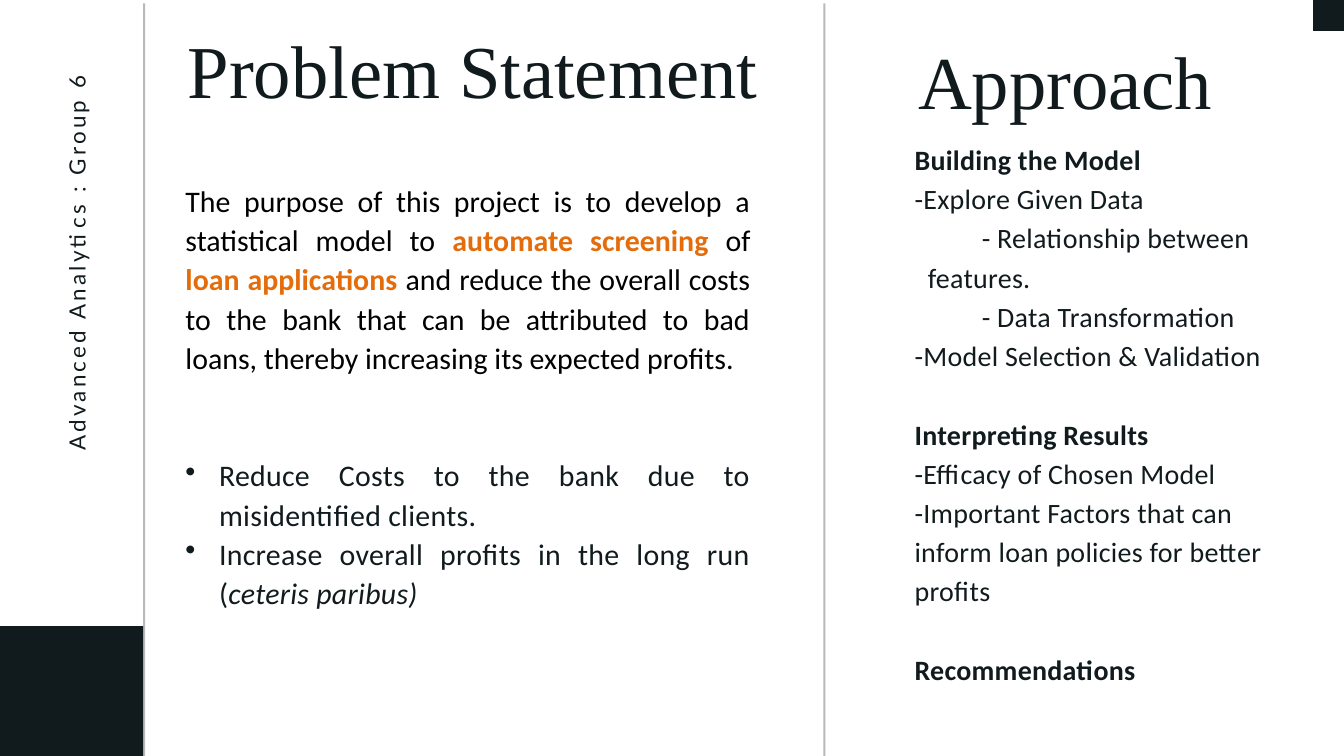
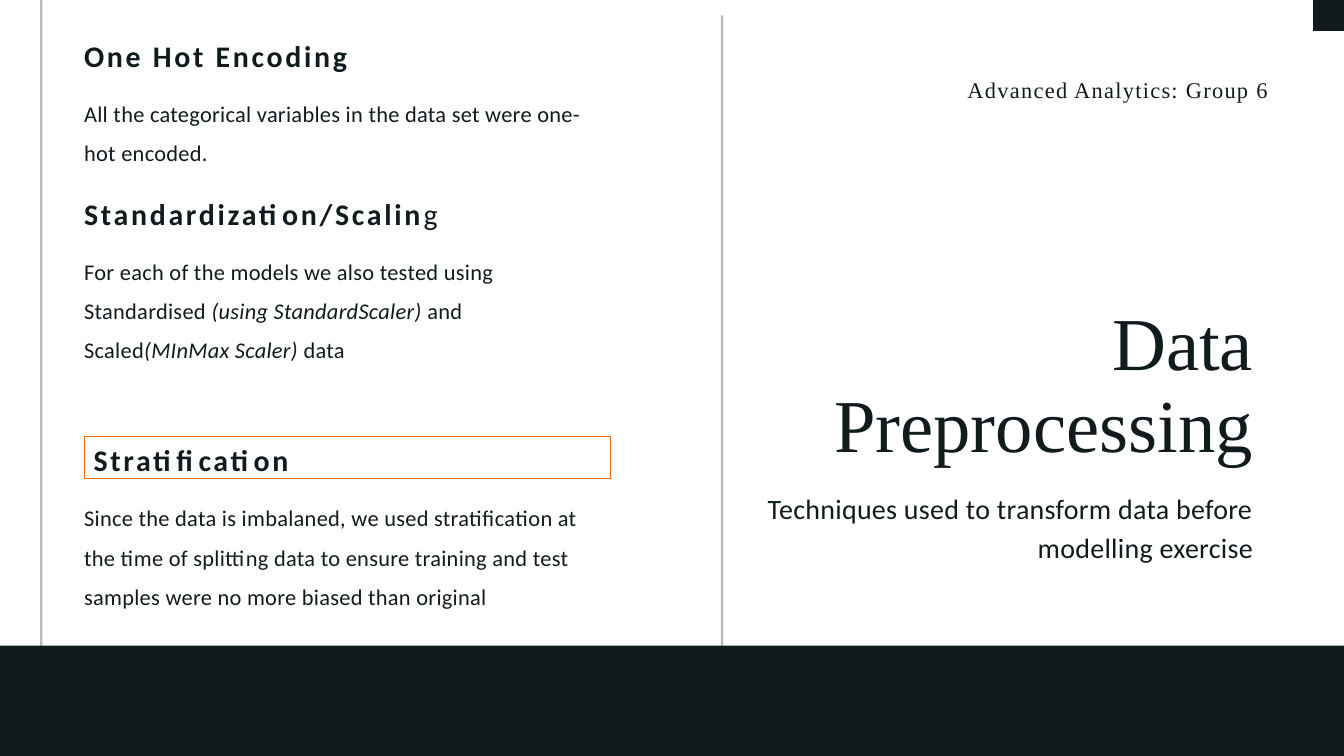
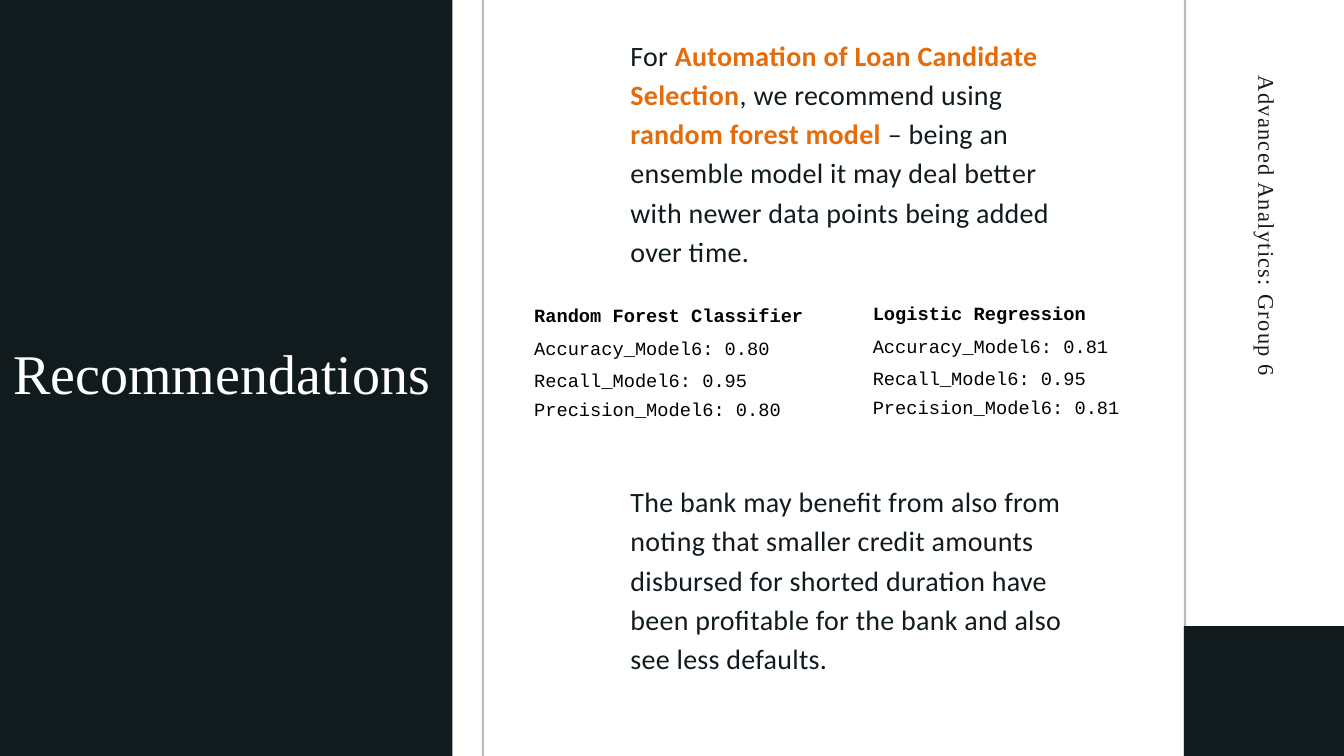
from lxml.etree import SubElement
from pptx import Presentation
from pptx.dml.color import RGBColor
from pptx.enum.shapes import MSO_SHAPE
from pptx.enum.text import MSO_ANCHOR, MSO_AUTO_SIZE, PP_ALIGN
from pptx.oxml.ns import qn
from pptx.util import Cm, Pt

INK, ORANGE, BLACK, WHITE = "111B1E", "E46C0A", "000000", "FFFFFF"
SERIF = "Times New Roman"

# Text formats: sizes, line and char spacing in points, lengths in cm
BASE = dict(font="Calibri", size=30, color=INK, bold=False, italic=False,
            spc=0.3, line=42, align="l", gap=0, left=0, first=0,
            bullet=None, turn=0, inset=0, edge=None)
TITLE = dict(font=SERIF, size=80, spc=0, line=88)
FOOTER = dict(font=SERIF, size=24, spc=1.4, line=33.6)
HEAD = dict(size=32, bold=True, spc=2.9, line=44.8)
CODE = dict(font="Courier New", size=20, color=BLACK, spc=0, line=35)
BOLD, ITALIC = dict(bold=True), dict(italic=True)
ACCENT = dict(color=ORANGE, bold=True)
ALIGN = {"l": PP_ALIGN.LEFT, "r": PP_ALIGN.RIGHT, "j": PP_ALIGN.JUSTIFY}


def para(*runs, **form):
    """A paragraph: runs are strings or (string, format) pairs."""
    return runs, form


BLACKTEXT = dict(color=BLACK, spc=0)
POINT = dict(left=1.27, first=-1.27, bullet="•")
SUB = dict(left=0.5, first=2.04)

PURPOSE = [
    para("The purpose of this project is to develop a statistical model to ",
         ("automate screening ", ACCENT), "of ", ("loan applications ", ACCENT),
         "and reduce the overall costs to the bank that can be attributed to "
         "bad loans, thereby increasing its expected profits.", **BLACKTEXT),
    para("Reduce Costs to the bank due to misidentified clients.",
         gap=84, **POINT),
    para("Increase overall profits in the long run (",
         ("ceteris paribus)", ITALIC), **POINT),
]
STEPS = [
    para("Building the Model", **BOLD),
    para("-Explore Given Data"),
    para("- Relationship between features.", **SUB),
    para("- Data Transformation", **SUB),
    para("-Model Selection & Validation"),
    para("Interpreting Results", gap=42, **BOLD),
    para("-Efficacy of Chosen Model"),
    para("-Important Factors that can inform loan policies for better profits"),
    para("Recommendations", gap=42, **BOLD),
]
# Top, body height, heading, heading format, body
SECTIONS = [
    (1.19, 3, para("One Hot Encoding"), {},
     para("All the categorical variables in the data set were one-hot "
          "encoded.")),
    (7.16, 4.5, para("Standardization/Scalin", ("g", dict(bold=False))), {},
     para("For each of the models we also tested using Standardised ",
          ("(using StandardScaler) ", ITALIC), "and Scaled",
          ("(MInMax Scaler) ", ITALIC), "data")),
    (16.48, 6, para("Stratification"), dict(edge=ORANGE, inset=0.36),
     para("Since the data is imbalaned, we used stratification at the time of "
          "splitting data to ensure training and test samples were no more "
          "biased than original")),
]
ADVICE = [
    (1.24, 11.96, para(
        "For ", ("Automation of Loan Candidate Selection", ACCENT),
        ", we recommend using ", ("random forest model ", ACCENT),
        "– being an ensemble model it may deal better with newer data points "
        "being added over time.")),
    (18.11, 7.39, para(
        "The bank may benefit from also from noting that smaller credit "
        "amounts disbursed for shorted duration have been profitable for the "
        "bank and also see less defaults.")),
]
# Left, top, model, scores
MODELS = [
    (20.19, 11.1, "Random Forest Classifier",
     {"Accuracy": "0.80", "Recall": "0.95", "Precision": "0.80"}),
    (32.99, 11.02, "Logistic Regression",
     {"Accuracy": "0.81", "Recall": "0.95", "Precision": "0.81"}),
]


def rgb(code):
    return RGBColor.from_string(code)


def block(slide, *at, alpha=None):
    """Solid dark rectangle, see-through when alpha (percent) is given."""
    box = slide.shapes.add_shape(MSO_SHAPE.RECTANGLE, *map(Cm, at))
    box.shadow.inherit = False
    box.fill.solid()
    box.fill.fore_color.rgb = rgb(INK)
    box.line.fill.background()
    if alpha:
        tint = box.fill._xPr.find(".//" + qn("a:srgbClr"))
        SubElement(tint, qn("a:alpha")).set("val", str(alpha * 1000))


def rule(slide, left, top):
    block(slide, left, top, 0.08, 32.26, alpha=30)


def corner(slide):
    block(slide, 49.63, 0, 1.17, 1.17)


def fill(par, runs, form):
    props = par._p.get_or_add_pPr()
    props.set("marL", str(Cm(form["left"])))
    props.set("indent", str(Cm(form["first"])))
    if form["bullet"]:
        SubElement(props, qn("a:buChar")).set("char", form["bullet"])
    par.alignment = ALIGN[form["align"]]
    par.line_spacing = Pt(form["line"])
    par.space_before = Pt(form["gap"])
    for item in runs:
        words, own = (item, {}) if isinstance(item, str) else item
        look = {**form, **own}
        run = par.add_run()
        run.text = words
        font = run.font
        font.name, font.size = look["font"], Pt(look["size"])
        font.bold, font.italic = look["bold"], look["italic"]
        font.color.rgb = rgb(look["color"])
        run._r.get_or_add_rPr().set("spc", str(round(look["spc"] * 100)))


def text(slide, at, *paras, box=None, **form):
    """Write paragraphs in a new text box, or in the given placeholder."""
    form = {**BASE, **form}
    box = box or slide.shapes.add_textbox(0, 0, 0, 0)
    box.left, box.top, box.width, box.height = map(Cm, at)
    box.rotation = form["turn"]
    if form["edge"]:
        box.line.color.rgb = rgb(form["edge"])
        box.line.width = Pt(0.75)
    frame = box.text_frame
    frame.word_wrap = True
    frame.auto_size = MSO_AUTO_SIZE.NONE
    frame.vertical_anchor = MSO_ANCHOR.TOP
    frame.margin_left = Cm(form["inset"])
    frame.margin_right = frame.margin_top = frame.margin_bottom = 0
    for n, (runs, own) in enumerate(paras):
        par = frame.add_paragraph() if n else frame.paragraphs[0]
        fill(par, runs, {**form, **own})


def title(slide, at, words, **form):
    box = slide.shapes.title
    box.element.getparent().append(box.element)  # bring to front
    text(slide, at, para(words), box=box, **{**TITLE, **form})


def problem(slide):
    block(slide, -2.06, 23.67, 7.47, 6.4)
    title(slide, (7.09, 2.74, 23.16, 1.57), "Problem Statement", line=44.2)
    text(slide, (34.7, 1.6, 14, 3.15), para("Approach"), **TITLE)
    text(slide, (34.57, 5.18, 14, 22.45), *STEPS)
    for left in (31.12, 5.41):
        rule(slide, left, 0.13)
    text(slide, (-6.76, 11.84, 19.1, 1.14),
         para("Advanced Analytics : Group 6"),
         **{**FOOTER, "font": "Lato", "spc": 3.4}, align="r", turn=270)
    corner(slide)
    text(slide, (7.01, 6.78, 21.36, 19.46), *PURPOSE, size=32, align="j")


def prep(slide):
    rule(slide, 27.25, 0.58)
    rule(slide, 1.52, 0)
    block(slide, -1.88, 24.41, 54.86, 6.4)
    title(slide, (28.27, 11.46, 19.1, 6.3), "Data Preprocessing", align="r")
    text(slide, (28.27, 18.36, 19.1, 3),
         para("Techniques used to transform data before modelling exercise"),
         align="r")
    text(slide, (28.09, 2.72, 19.84, 1.22),
         para("Advanced Analytics: Group 6"), **FOOTER, align="r")
    corner(slide)
    for top, high, head, look, body in SECTIONS:
        text(slide, (3.18, top + 2.13, 19.89, high), body, size=24)
        text(slide, (3.18, top, 19.89, 1.6), head, **HEAD, **look)


def advise(slide):
    block(slide, -2.64, -1.75, 19.74, 31.9)
    title(slide, (0.51, 12.22, 22.35, 2.95), "Recommendations",
          size=60, color=WHITE)
    for left in (18.21, 44.75):
        rule(slide, left, -1.83)
    text(slide, (38.46, 11.84, 19.1, 1.14),
         para("Advanced Analytics: Group 6"), **FOOTER, turn=90)
    block(slide, 44.75, 23.67, 8.1, 6.4)
    for top, high, body in ADVICE:
        text(slide, (23.83, top, 17.17, high), body)
    for left, top, name, scores in MODELS:
        rows = [para(f"{key}_Model6: {score}",
                     line=31 if key == "Precision" else 35)
                for key, score in scores.items()]
        text(slide, (left, top, 14.53, 5), para(name, **BOLD), *rows, **CODE)


def main():
    deck = Presentation()
    deck.slide_width, deck.slide_height = Cm(50.8), Cm(28.58)
    for draw in (problem, prep, advise):
        draw(deck.slides.add_slide(deck.slide_layouts[5]))
    deck.save("out.pptx")


if __name__ == "__main__":
    main()
